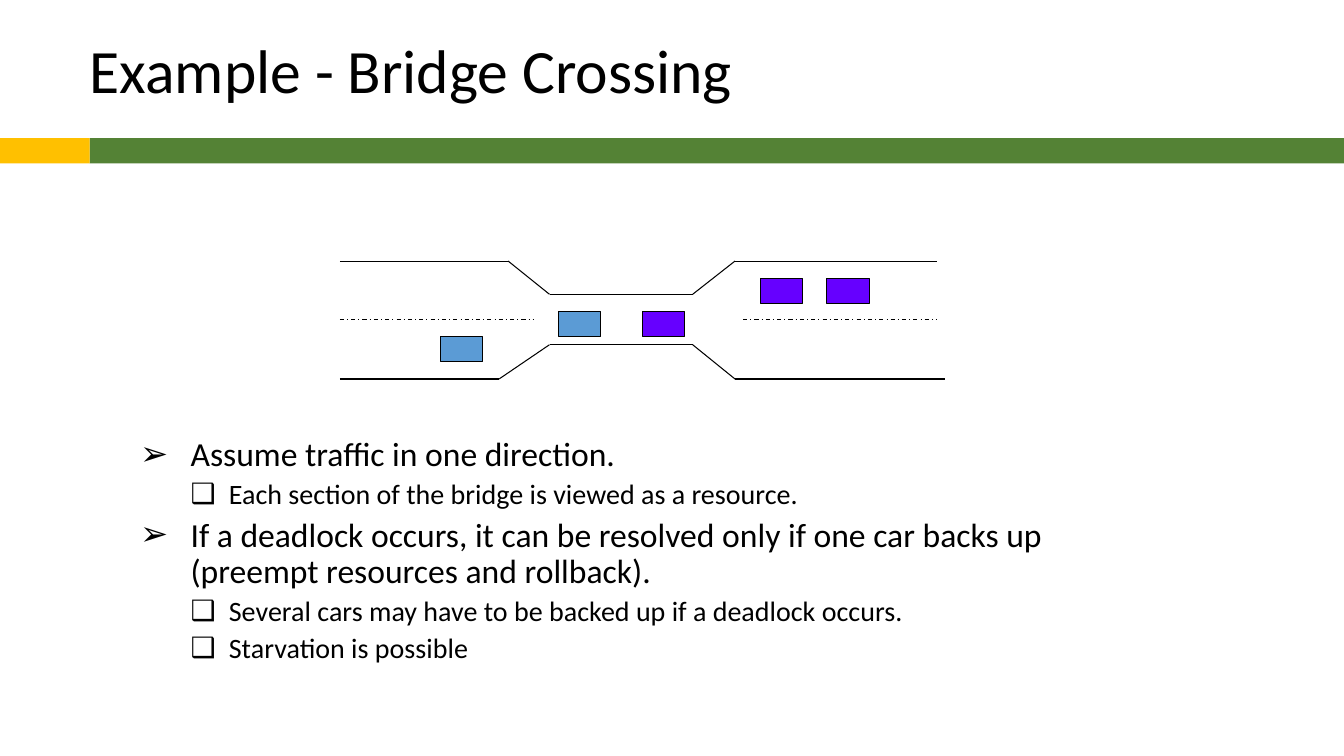
import itertools

import lxml.etree
import pptx
import pptx.dml.color
import pptx.enum.dml
import pptx.enum.shapes
import pptx.enum.text
import pptx.oxml.ns
import pptx.util

Inches = pptx.util.Inches
Pt = pptx.util.Pt
qn = pptx.oxml.ns.qn

COLORS = {"text": "000000", "line": "000000", "green": "548235",
          "gold": "FFC000", "blue": "5B9BD5", "purple": "6600FF"}

# Bullet, left margin and hanging indent (inches), size (points) per level
LEVELS = [("➢", 1, -0.5, 24), ("❑", 1.38, -0.38, 20)]


def rgb(name):
    return pptx.dml.color.RGBColor.from_string(COLORS[name])


def apply(obj, formats):
    for name, value in formats.items():
        setattr(obj, name, value)


class SlideBuilder:
    font = "Calibri"
    line_width = Pt(0.75)

    def __init__(self, prs):
        self.slide = prs.slides.add_slide(prs.slide_layouts[1])

    def frame(self, sp, anchor, left, top, width, height):
        apply(sp, {"left": Inches(left), "top": Inches(top),
                   "width": Inches(width), "height": Inches(height)})
        apply(sp.text_frame, {"word_wrap": True,
                              "auto_size": pptx.enum.text.MSO_AUTO_SIZE.NONE,
                              "vertical_anchor": anchor})
        return sp.text_frame

    def add_text(self, p, text, size):
        apply(p, {"line_spacing": 0.9, "alignment": pptx.enum.text.PP_ALIGN.LEFT})
        r = p.add_run()
        r.text = text
        apply(r.font, {"name": self.font, "size": Pt(size)})
        r.font.color.rgb = rgb("text")

    def title(self, text, *box):
        tf = self.frame(self.slide.shapes.title,
                        pptx.enum.text.MSO_ANCHOR.MIDDLE, *box)
        self.add_text(tf.paragraphs[0], text, 44)

    def bullets(self, items, *box):
        tf = self.frame(self.slide.placeholders[1],
                        pptx.enum.text.MSO_ANCHOR.TOP, *box)
        for i, (level, text) in enumerate(items):
            p = tf.add_paragraph() if i else tf.paragraphs[0]
            char, margin, indent, size = LEVELS[level]
            pPr = p._p.get_or_add_pPr()
            pPr.set("marL", str(Inches(margin)))
            pPr.set("indent", str(Inches(indent)))
            lxml.etree.SubElement(pPr, qn("a:buChar")).set("char", char)
            apply(p, {"level": level, "space_before": Pt(5 if i else 0)})
            self.add_text(p, text, size)

    def rect(self, fill, *box, outlined=False):
        sp = self.slide.shapes.add_shape(
            pptx.enum.shapes.MSO_SHAPE.RECTANGLE, *map(Inches, box))
        sp.shadow.inherit = False
        sp.fill.solid()
        sp.fill.fore_color.rgb = rgb(fill)
        if outlined:
            sp.line.color.rgb = rgb("line")
            sp.line.width = self.line_width
        else:
            sp.line.fill.background()

    def line(self, start, end, dash=None):
        cx = self.slide.shapes.add_connector(
            pptx.enum.shapes.MSO_CONNECTOR.STRAIGHT,
            *map(Inches, (*start, *end)))
        cx.line.color.rgb = rgb("line")
        apply(cx.line, {"width": self.line_width, "dash_style": dash})
        lxml.etree.SubElement(cx._element.spPr, qn("a:effectLst"))

    def polyline(self, points):
        for start, end in itertools.pairwise(points):
            self.line(start, end)


def main():
    prs = pptx.Presentation()
    apply(prs, {"slide_width": Inches(13.33), "slide_height": Inches(7.5)})
    s = SlideBuilder(prs)

    # Header band
    s.rect("green", 0.89, 1.37, 12.44, 0.25)
    s.rect("gold", 0, 1.37, 0.89, 0.25)

    # Title and list
    s.title("Example - Bridge Crossing", 0.79, 0.1, 9, 1.25)
    s.bullets([
        (0, "Assume traffic in one direction."),
        (1, "Each section of the bridge is viewed as a resource."),
        (0, "If a deadlock occurs, it can be resolved only if one car "
            "backs up (preempt resources and rollback)."),
        (1, "Several cars may have to be backed up if a deadlock occurs."),
        (1, "Starvation is possible"),
    ], 0.79, 4.29, 10.34, 3.21)

    # Road edges, narrowing at the bridge
    s.polyline([(3.37, 2.59), (5.04, 2.59), (5.45, 2.92),
                (6.87, 2.92), (7.29, 2.59), (9.29, 2.59)])
    s.polyline([(3.37, 3.76), (4.95, 3.76), (5.45, 3.42),
                (6.87, 3.42), (7.29, 3.76), (9.37, 3.76)])

    # Lane dividers
    for left in (3.37, 7.37):
        s.line((left, 3.17), (left + 1.92, 3.17),
               pptx.enum.dml.MSO_LINE.DASH_DOT)

    # Cars
    for color, left, top in [("blue", 4.37, 3.34), ("blue", 5.54, 3.09),
                             ("purple", 7.54, 2.76), ("purple", 8.2, 2.76),
                             ("purple", 6.37, 3.09)]:
        s.rect(color, left, top, 0.42, 0.25, outlined=True)

    prs.save("out.pptx")


if __name__ == "__main__":
    main()
